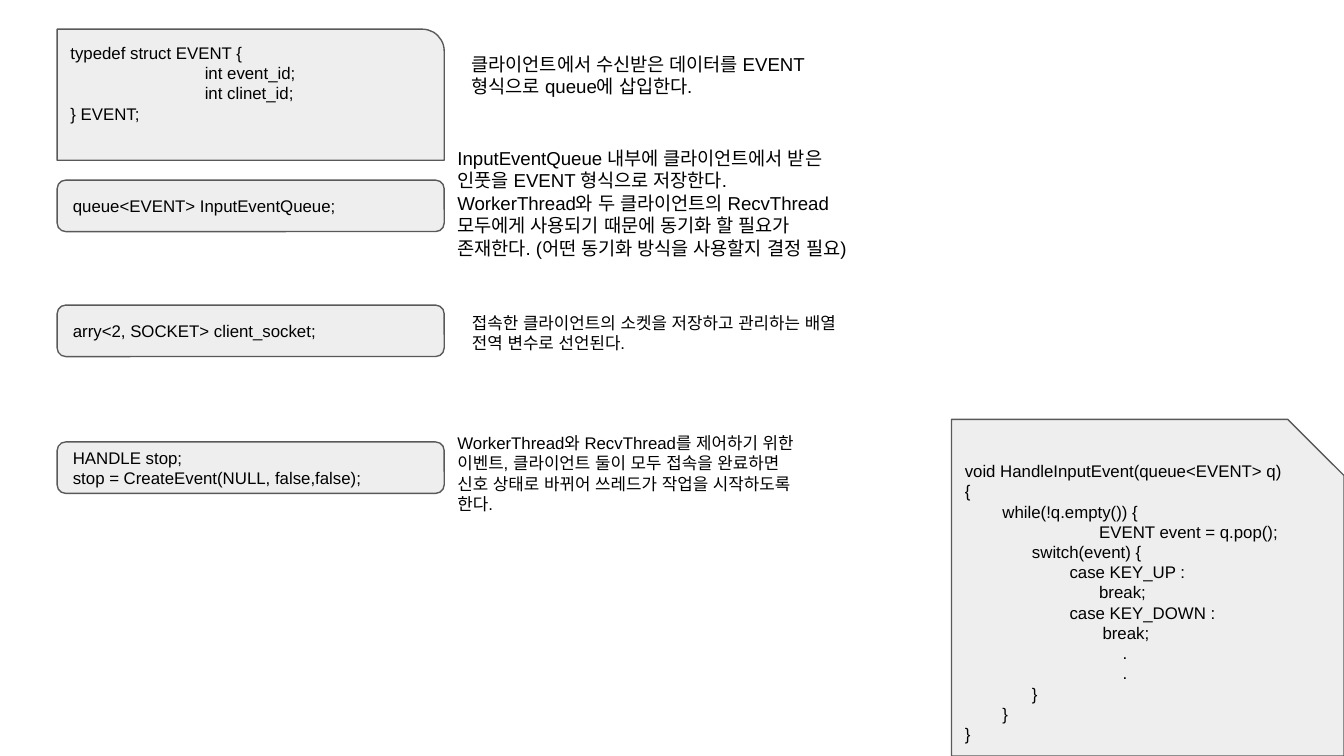
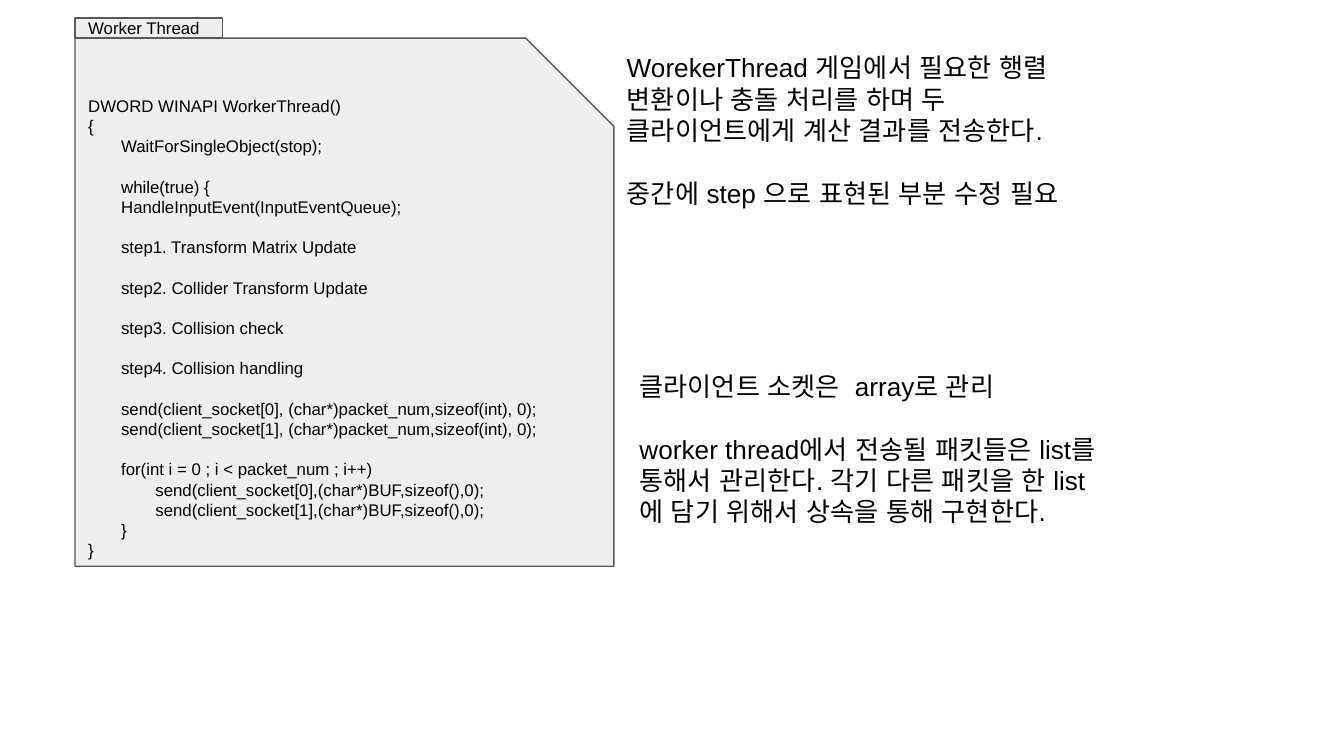
from dataclasses import dataclass
from typing import NamedTuple

from lxml.etree import SubElement
from pptx import Presentation
from pptx.dml.color import RGBColor
from pptx.enum.shapes import MSO_SHAPE
from pptx.enum.text import MSO_ANCHOR, PP_ALIGN
from pptx.oxml.ns import qn
from pptx.util import Inches, Pt


@dataclass(frozen=True)
class Theme:
    """Colours, type sizes and line widths of both slides."""
    font: str = "Arial"
    ink: RGBColor = RGBColor(0x00, 0x00, 0x00)
    card: RGBColor = RGBColor(0xEE, 0xEE, 0xEE)
    border: RGBColor = RGBColor(0x59, 0x59, 0x59)
    paper: RGBColor = RGBColor(0xFF, 0xFF, 0xFF)
    border_width: float = 0.75
    code: float = 9
    small: float = 9
    note: float = 10
    large: float = 14
    line_height: float = 1.2


THEME = Theme()
WIDTH = 10
HEIGHT = WIDTH * 9 / 16
UNIT = 0.1          # inches in one grid column or row
PADDING = 0.1
SPACE = 0.035       # inches taken by one space in code
CORNER = 0.167
BLANK_LAYOUT = 6


class Box(NamedTuple):
    """A place on the grid, in columns and rows."""
    col: float
    row: float
    cols: float
    rows: float

    def lengths(self) -> list:
        """Return left, top, width and height as lengths."""
        return [Inches(n * UNIT) for n in self]


class Line(NamedTuple):
    """A paragraph, its indent in inches, and whether a gap precedes it."""
    text: str
    indent: float = 0
    gap: bool = False


class Declaration(NamedTuple):
    """A code card and the note beside it."""
    shape: MSO_SHAPE
    card: Box
    code: list
    note_box: Box
    note: list
    size: float


def write(sp, lines: list, size: float, anchor=MSO_ANCHOR.TOP) -> None:
    """Fill a shape with left-aligned paragraphs."""
    tf = sp.text_frame
    tf.word_wrap = True
    tf.vertical_anchor = anchor
    tf.margin_left = tf.margin_right = Inches(PADDING)
    tf.margin_top = tf.margin_bottom = Inches(PADDING)
    tf.text = "\n".join(line.text for line in lines)
    for p, line in zip(tf.paragraphs, lines):
        p.alignment = PP_ALIGN.LEFT
        if line.gap:
            p.space_before = Pt(round(size * THEME.line_height, 1))
        if line.indent:
            p_pr = p._p.get_or_add_pPr()
            p_pr.set("marL", str(Inches(line.indent)))
            p_pr.set("indent", "0")
        for r in p.runs:
            r.font.size = Pt(size)
            r.font.name = THEME.font
            r.font.color.rgb = THEME.ink
            for script in ("a:ea", "a:cs"):
                SubElement(r.font._element, qn(script)).set("typeface", THEME.font)


def add_card(slide, shape: MSO_SHAPE, box: Box, lines: list) -> None:
    """Draw a grey outlined card that holds code."""
    sp = slide.shapes.add_shape(shape, *box.lengths())
    sp.shadow.inherit = False
    sp.fill.solid()
    sp.fill.fore_color.rgb = THEME.card
    sp.line.color.rgb = THEME.border
    sp.line.width = Pt(THEME.border_width)
    if len(sp.adjustments):
        sp.adjustments[0] = CORNER
    centred = shape in (MSO_SHAPE.ROUNDED_RECTANGLE, MSO_SHAPE.RECTANGLE)
    write(sp, lines, THEME.code, MSO_ANCHOR.MIDDLE if centred else MSO_ANCHOR.TOP)


def add_note(slide, box: Box, lines: list, size: float) -> None:
    """Draw an explanatory text box."""
    write(slide.shapes.add_textbox(*box.lengths()), lines, size)


def add_slide(prs):
    """Add an empty slide on plain paper."""
    slide = prs.slides.add_slide(prs.slide_layouts[BLANK_LAYOUT])
    slide.background.fill.solid()
    slide.background.fill.fore_color.rgb = THEME.paper
    return slide


CARD_COL, CARD_COLS, CARD_ROWS = 4.25, 28.8, 3.83
NOTE_COL = CARD_COL + CARD_COLS
NOTE_INSET = NOTE_COL + 1.08


def small_card(row: float) -> Box:
    """Place a one- or two-line card in the card column."""
    return Box(CARD_COL, row, CARD_COLS, CARD_ROWS)


DECLARATIONS = [
    Declaration(
        MSO_SHAPE.ROUND_1_RECTANGLE, Box(CARD_COL, 2.17, CARD_COLS, 9.75),
        [Line("typedef struct EVENT {"), Line("int event_id;", 1),
         Line("int clinet_id;", 1), Line("} EVENT;")],
        Box(NOTE_INSET, 2.9, 28, 9),
        [Line("클라이언트에서 수신받은 데이터를 EVENT 형식으로 queue에 삽입한다.")],
        THEME.note),
    Declaration(
        MSO_SHAPE.ROUNDED_RECTANGLE, small_card(13.4),
        [Line("queue<EVENT> InputEventQueue;")],
        Box(NOTE_COL, 9.92, 31.5, 12.8),
        [Line("InputEventQueue 내부에 클라이언트에서 받은 인풋을 EVENT 형식으로 저장한다."),
         Line("WorkerThread와 두 클라이언트의 RecvThread 모두에게 사용되기 때문에 "
              "동기화 할 필요가 존재한다. (어떤 동기화 방식을 사용할지 결정 필요)")],
        THEME.note),
    Declaration(
        MSO_SHAPE.ROUNDED_RECTANGLE, small_card(22.7),
        [Line("arry<2, SOCKET> client_socket;")],
        Box(NOTE_INSET, 22.27, 29.2, 3.8),
        [Line("접속한 클라이언트의 소켓을 저장하고 관리하는 배열 전역 변수로 선언된다.")],
        THEME.small),
    Declaration(
        MSO_SHAPE.ROUNDED_RECTANGLE, small_card(32.88),
        [Line("HANDLE stop;"), Line("stop = CreateEvent(NULL, false,false);")],
        Box(NOTE_COL, 31.2, 28, 7.2),
        [Line("WorkerThread와 RecvThread를 제어하기 위한 이벤트, 클라이언트 둘이 모두 "
              "접속을 완료하면 신호 상태로 바뀌어 쓰레드가 작업을 시작하도록 한다.")],
        THEME.small),
]

TAB = 8 * SPACE
HANDLER = [
    Line("void HandleInputEvent(queue<EVENT> q)"),
    Line("{"),
    Line("while(!q.empty()) {", TAB),
    Line("EVENT event = q.pop();", 1),
    Line("switch(event) {", 0.5),
    Line("case KEY_UP :", 0.5 + TAB),
    Line("break;", 1),
    Line("case KEY_DOWN :", 0.5 + TAB),
    Line("break;", 0.5 + 15 * SPACE),
    *[Line(".", 1 + 5 * SPACE)] * 2,
    Line("}", 0.5),
    Line("}", TAB),
    Line("}"),
]

BODY = 7 * SPACE
STEPS = ["Transform Matrix Update", "Collider Transform Update",
         "Collision check", "Collision handling"]
SOCKETS = range(2)
WORKER = [
    Line("DWORD WINAPI WorkerThread()"),
    Line("{"),
    Line("WaitForSingleObject(stop);", BODY),
    Line("while(true) {", BODY, True),
    Line("HandleInputEvent(InputEventQueue);", BODY),
    *[Line(f"step{n}. {step}", BODY, True) for n, step in enumerate(STEPS, 1)],
    *[Line(f"send(client_socket[{n}], (char*)packet_num,sizeof(int), 0);", BODY, n == 0)
      for n in SOCKETS],
    Line("for(int i = 0 ; i < packet_num ; i++)", BODY, True),
    *[Line(f"send(client_socket[{n}],(char*)BUF,sizeof(),0);", 0.5) for n in SOCKETS],
    Line("}", BODY),
    Line("}"),
]
WORKER_BOX = Box(5.58, 2.84, 40.1, 39.3)
WORKER_NOTES = [
    (Box(46.6, 26.55, 36.7, 27.3),
     [Line("클라이언트 소켓은  array로 관리"),
      Line("worker thread에서 전송될 패킷들은 list를 통해서 관리한다. "
           "각기 다른 패킷을 한 list에 담기 위해서 상속을 통해 구현한다.", gap=True)]),
    (Box(45.65, 2.84, 36.7, 18.9),
     [Line("WorekerThread 게임에서 필요한 행렬 변환이나 충돌 처리를 하며 두 "
           "클라이언트에게 계산 결과를 전송한다."),
      Line("중간에 step 으로 표현된 부분 수정 필요", gap=True)]),
]


def build_declarations(prs) -> None:
    """Build the slide of shared data and the input handler."""
    slide = add_slide(prs)
    add_card(slide, MSO_SHAPE.SNIP_1_RECTANGLE, Box(70.8, 31.2, 29.2, 25.05), HANDLER)
    for item in DECLARATIONS:
        add_card(slide, item.shape, item.card, item.code)
        add_note(slide, item.note_box, item.note, item.size)


def build_worker(prs) -> None:
    """Build the slide of the worker thread."""
    slide = add_slide(prs)
    add_card(slide, MSO_SHAPE.SNIP_1_RECTANGLE, WORKER_BOX, WORKER)
    add_card(slide, MSO_SHAPE.RECTANGLE, Box(WORKER_BOX.col, 1.33, 11, 1.5),
             [Line("Worker Thread")])
    for box, lines in WORKER_NOTES:
        add_note(slide, box, lines, THEME.large)


def main() -> None:
    """Build and save the presentation."""
    prs = Presentation()
    prs.slide_width, prs.slide_height = Inches(WIDTH), Inches(HEIGHT)
    build_declarations(prs)
    build_worker(prs)
    prs.save("out.pptx")


main()
